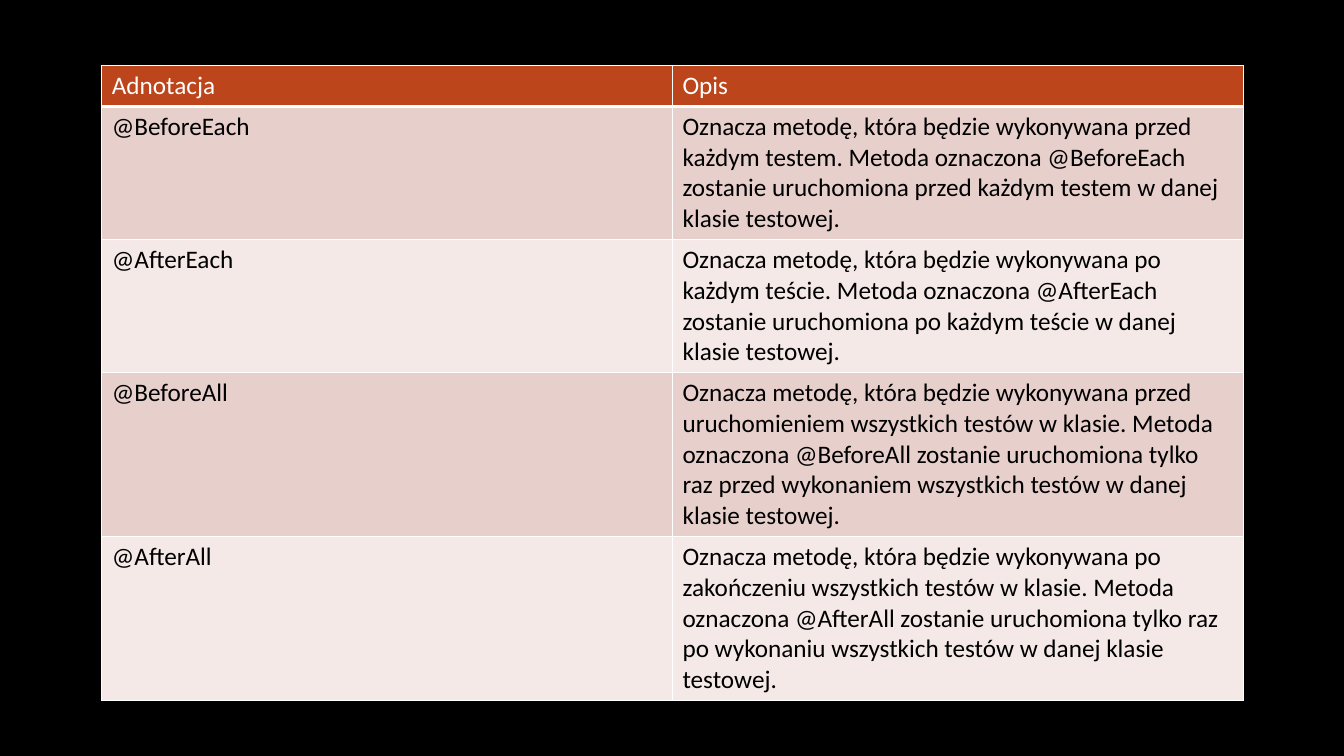
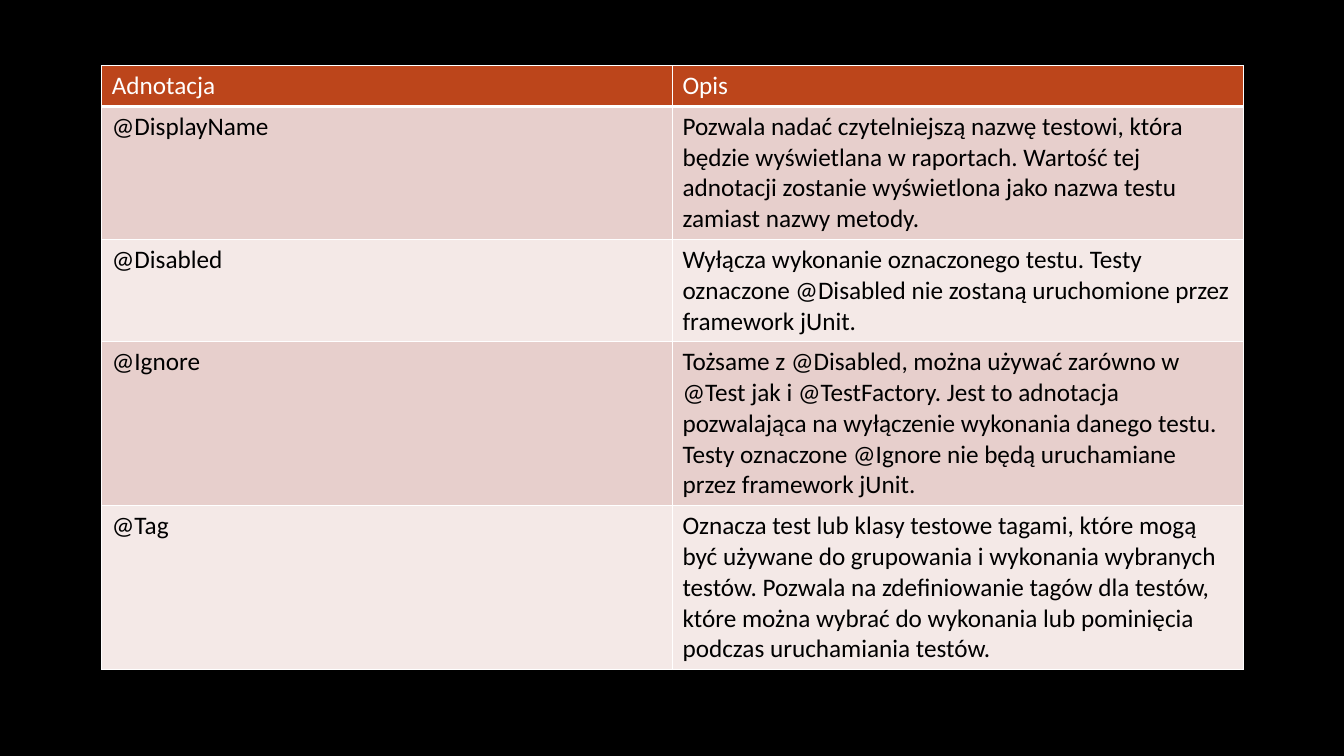
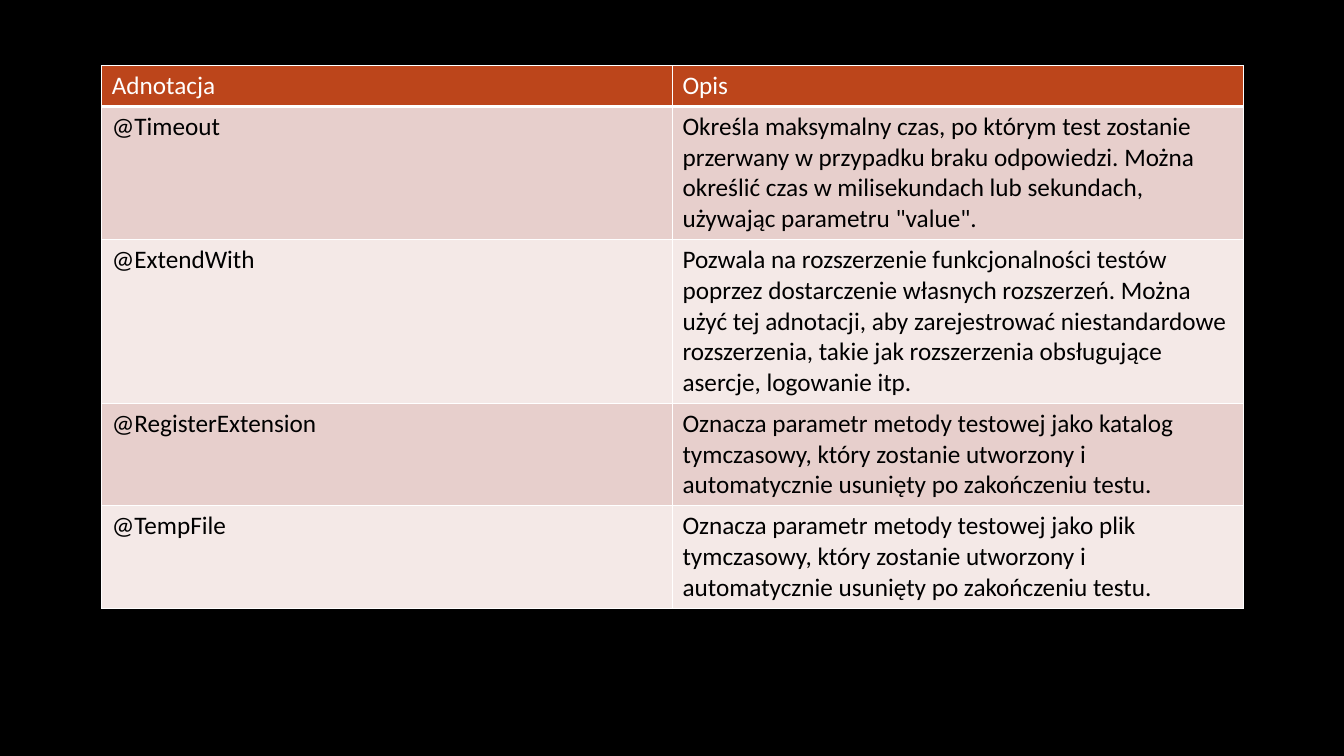
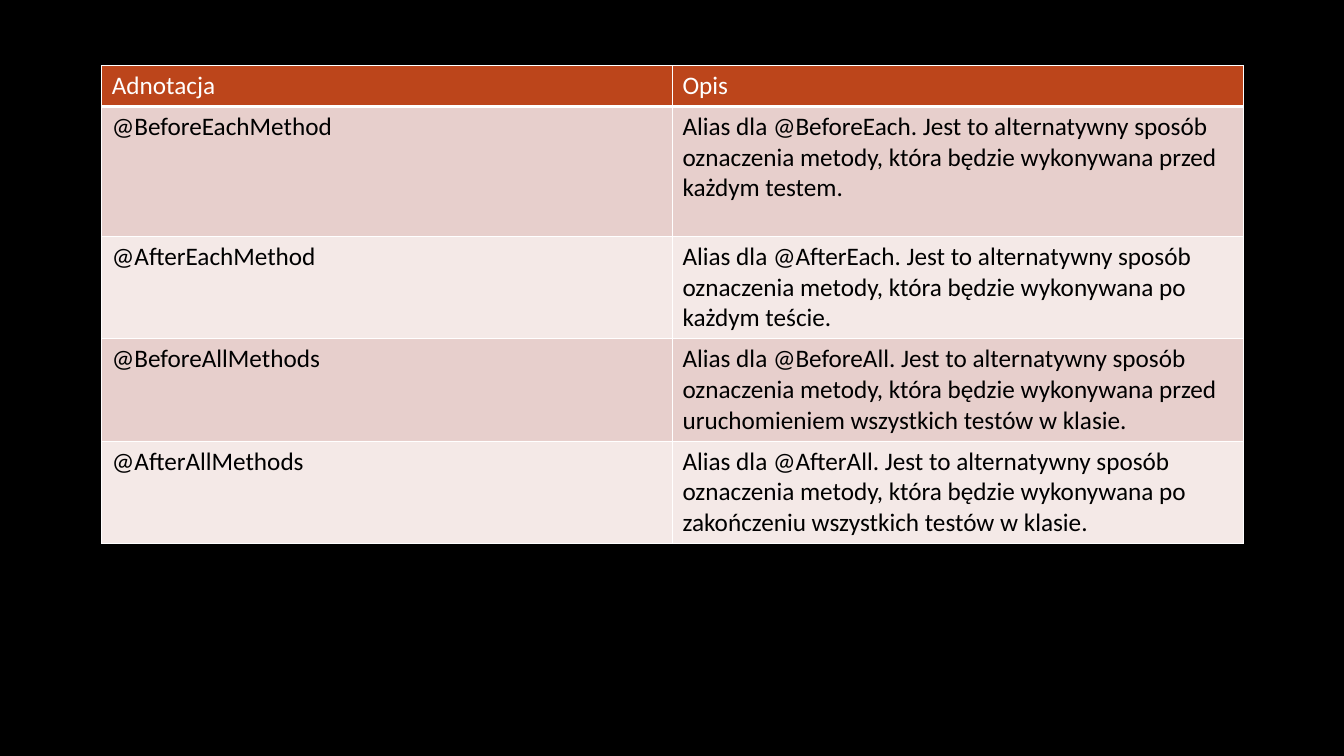
from lxml import etree
from pptx import Presentation
from pptx.dml.color import RGBColor
from pptx.oxml.ns import qn
from pptx.util import Inches, Pt

BLACK = RGBColor(0x00, 0x00, 0x00)
WHITE = RGBColor(0xFF, 0xFF, 0xFF)
RUST = RGBColor(0xBC, 0x45, 0x1B)
ROSE = RGBColor(0xE7, 0xCF, 0xCC)
PALE_ROSE = RGBColor(0xF4, 0xE9, 0xE7)

FONT = "Calibri"
TEXT_SIZE = Pt(18)
THIN = Pt(0.87)
THICK = Pt(2.63)
BLANK_LAYOUT = 6

TABLE_LEFT = 1.01
TABLE_TOP = 0.65
COLUMN_WIDTH = 5.66
ROW_HEIGHTS = (0.4, 1.29, 0.4, 0.4, 0.4)
HEADINGS = ("Adnotacja", "Opis")

ANNOTATION_GROUPS = (
    (
        ("@BeforeEach", "Oznacza metodę, która będzie wykonywana przed każdym testem. "
         "Metoda oznaczona @BeforeEach zostanie uruchomiona przed każdym testem "
         "w danej klasie testowej."),
        ("@AfterEach", "Oznacza metodę, która będzie wykonywana po każdym teście. "
         "Metoda oznaczona @AfterEach zostanie uruchomiona po każdym teście "
         "w danej klasie testowej."),
        ("@BeforeAll", "Oznacza metodę, która będzie wykonywana przed uruchomieniem "
         "wszystkich testów w klasie. Metoda oznaczona @BeforeAll zostanie uruchomiona "
         "tylko raz przed wykonaniem wszystkich testów w danej klasie testowej."),
        ("@AfterAll", "Oznacza metodę, która będzie wykonywana po zakończeniu "
         "wszystkich testów w klasie. Metoda oznaczona @AfterAll zostanie uruchomiona "
         "tylko raz po wykonaniu wszystkich testów w danej klasie testowej."),
    ),
    (
        ("@DisplayName", "Pozwala nadać czytelniejszą nazwę testowi, która będzie "
         "wyświetlana w raportach. Wartość tej adnotacji zostanie wyświetlona "
         "jako nazwa testu zamiast nazwy metody."),
        ("@Disabled", "Wyłącza wykonanie oznaczonego testu. Testy oznaczone @Disabled "
         "nie zostaną uruchomione przez framework jUnit."),
        ("@Ignore", "Tożsame z @Disabled, można używać zarówno w @Test jak i "
         "@TestFactory. Jest to adnotacja pozwalająca na wyłączenie wykonania danego "
         "testu. Testy oznaczone @Ignore nie będą uruchamiane przez framework jUnit."),
        ("@Tag", "Oznacza test lub klasy testowe tagami, które mogą być używane do "
         "grupowania i wykonania wybranych testów. Pozwala na zdefiniowanie tagów dla "
         "testów, które można wybrać do wykonania lub pominięcia podczas uruchamiania "
         "testów."),
    ),
    (
        ("@Timeout", "Określa maksymalny czas, po którym test zostanie przerwany "
         "w przypadku braku odpowiedzi. Można określić czas w milisekundach lub "
         'sekundach, używając parametru "value".'),
        ("@ExtendWith", "Pozwala na rozszerzenie funkcjonalności testów poprzez "
         "dostarczenie własnych rozszerzeń. Można użyć tej adnotacji, aby zarejestrować "
         "niestandardowe rozszerzenia, takie jak rozszerzenia obsługujące asercje, "
         "logowanie itp."),
        ("@RegisterExtension", "Oznacza parametr metody testowej jako katalog "
         "tymczasowy, który zostanie utworzony i automatycznie usunięty "
         "po zakończeniu testu."),
        ("@TempFile", "Oznacza parametr metody testowej jako plik tymczasowy, "
         "który zostanie utworzony i automatycznie usunięty po zakończeniu testu."),
    ),
    (
        ("@BeforeEachMethod", "Alias dla @BeforeEach. Jest to alternatywny sposób "
         "oznaczenia metody, która będzie wykonywana przed każdym testem."),
        ("@AfterEachMethod", "Alias dla @AfterEach. Jest to alternatywny sposób "
         "oznaczenia metody, która będzie wykonywana po każdym teście."),
        ("@BeforeAllMethods", "Alias dla @BeforeAll. Jest to alternatywny sposób "
         "oznaczenia metody, która będzie wykonywana przed uruchomieniem wszystkich "
         "testów w klasie."),
        ("@AfterAllMethods", "Alias dla @AfterAll. Jest to alternatywny sposób "
         "oznaczenia metody, która będzie wykonywana po zakończeniu wszystkich "
         "testów w klasie."),
    ),
)


class AnnotationDeck:
    def __init__(self):
        self.presentation = Presentation()
        self.presentation.slide_width = Inches(13.33)
        self.presentation.slide_height = Inches(7.5)
        background = self.presentation.slide_master.background.fill
        background.solid()
        background.fore_color.rgb = BLACK
        self.slide = None

    def add_slide(self):
        layout = self.presentation.slide_layouts[BLANK_LAYOUT]
        self.slide = self.presentation.slides.add_slide(layout)

    def add_table(self, annotations):
        rows = (HEADINGS, *annotations)
        table = self.slide.shapes.add_table(
            len(rows), len(HEADINGS), Inches(TABLE_LEFT), Inches(TABLE_TOP),
            Inches(COLUMN_WIDTH * len(HEADINGS)), Inches(sum(ROW_HEIGHTS)),
        ).table
        for column in table.columns:
            column.width = Inches(COLUMN_WIDTH)
        for row_index, (texts, height) in enumerate(zip(rows, ROW_HEIGHTS)):
            table.rows[row_index].height = Inches(height)
            for column_index, text in enumerate(texts):
                self.fill_cell(table.cell(row_index, column_index), text, row_index)

    def fill_cell(self, cell, text, row_index):
        is_heading = row_index == 0
        band = ROSE if row_index % 2 else PALE_ROSE
        cell.fill.solid()
        cell.fill.fore_color.rgb = RUST if is_heading else band
        run = cell.text_frame.paragraphs[0].add_run()
        run.text = text
        run.font.name = FONT
        run.font.size = TEXT_SIZE
        run.font.bold = False
        run.font.color.rgb = WHITE if is_heading else BLACK
        self.set_borders(
            cell,
            top=THICK if row_index == 1 else THIN,
            bottom=THICK if is_heading else THIN,
        )

    def set_borders(self, cell, top, bottom):
        properties = cell._tc.get_or_add_tcPr()
        edges = (("a:lnL", THIN), ("a:lnR", THIN), ("a:lnT", top), ("a:lnB", bottom))
        for position, (tag, width) in enumerate(edges):
            line = etree.Element(qn(tag), w=str(int(width)))
            solid = etree.SubElement(line, qn("a:solidFill"))
            etree.SubElement(solid, qn("a:srgbClr"), val=str(WHITE))
            properties.insert(position, line)


def main():
    deck = AnnotationDeck()
    for annotations in ANNOTATION_GROUPS:
        deck.add_slide()
        deck.add_table(annotations)
    deck.presentation.save("out.pptx")


if __name__ == "__main__":
    main()
